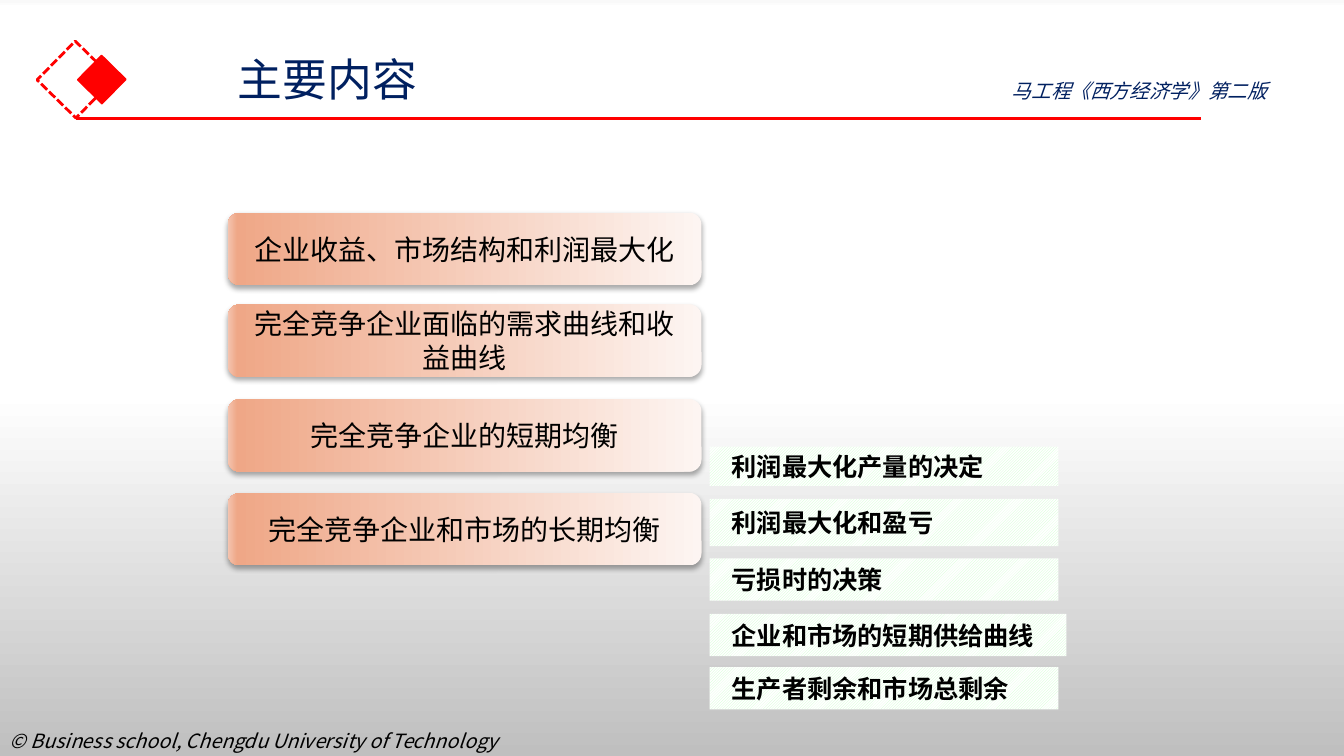
import pptx
import pptx.dml.color
import pptx.enum.dml
import pptx.enum.shapes
import pptx.enum.text
import pptx.oxml
import pptx.oxml.ns
import pptx.util
from pptx.util import Pt

RGBColor = pptx.dml.color.RGBColor
ALIGN = pptx.enum.text.PP_ALIGN
ANCHOR = pptx.enum.text.MSO_ANCHOR
SHAPE = pptx.enum.shapes.MSO_SHAPE
qn = pptx.oxml.ns.qn

RED = RGBColor(0xFF, 0x00, 0x00)
NAVY = RGBColor(0x00, 0x20, 0x60)
BLACK = RGBColor(0x00, 0x00, 0x00)
WHITE = RGBColor(0xFF, 0xFF, 0xFF)
MINT = RGBColor(0xCC, 0xFF, 0xCC)
PAGE_STOPS = [(0, RGBColor(0xF9, 0xF9, 0xF9)), (1, WHITE), (52, WHITE),
              (100, RGBColor(0xBF, 0xBF, 0xBF))]
TOPIC_STOPS = [(0, RGBColor(0xFD, 0xF5, 0xF2)), (98, RGBColor(0xEF, 0xA7, 0x87)),
               (100, RGBColor(0xF4, 0xC4, 0xAF))]
CJK_FONT = "Noto Sans CJK SC"
NAMESPACE = pptx.oxml.ns.nsdecls("a")


def set_gradient(fill, owner, stops, angle):
    """Fill with any number of colour stops; angle runs clockwise in degrees."""
    fill.gradient()
    gradient = next(owner.iter(qn("a:gradFill")))
    stop_list = gradient.find(qn("a:gsLst"))
    for stop in list(stop_list):
        stop_list.remove(stop)
    for position, color in stops:
        stop_list.append(pptx.oxml.parse_xml(
            f'<a:gs {NAMESPACE} pos="{position * 1000}"><a:srgbClr val="{color}"/></a:gs>'))
    gradient.find(qn("a:lin")).set("ang", str(angle * 60000))


def write_text(shape, text, size, color, align=ALIGN.LEFT, anchor=ANCHOR.TOP,
               font_name=CJK_FONT, bold=False, italic=False, wrap=True):
    frame = shape.text_frame
    frame.word_wrap = wrap
    frame.vertical_anchor = anchor
    frame.text = text
    paragraph = frame.paragraphs[0]
    paragraph.alignment = align
    font = paragraph.font
    font.name, font.size, font.bold, font.italic = font_name, Pt(size), bold, italic
    font.color.rgb = color
    defaults = paragraph._p.pPr.find(qn("a:defRPr"))
    defaults.append(pptx.oxml.parse_xml(f'<a:ea {NAMESPACE} typeface="{CJK_FONT}"/>'))


presentation = pptx.Presentation()
presentation.slide_width = Pt(960)
presentation.slide_height = Pt(540)
slide = presentation.slides.add_slide(presentation.slide_layouts[5])
shapes = slide.shapes
set_gradient(slide.background.fill, slide._element, PAGE_STOPS, 90)

# Title
title = shapes.title
title.left, title.top, title.width, title.height = Pt(162.7), Pt(33.1), Pt(357.1), Pt(46.1)
write_text(title, "主要内容", 32, NAVY)

# Book name and copyright line
book = shapes.add_textbox(Pt(715.7), Pt(52.6), Pt(233.3), Pt(24.5))
write_text(book, "马工程《西方经济学》第二版", 14, NAVY, italic=True)
copyright_line = shapes.add_textbox(Pt(0), Pt(517), Pt(382.3), Pt(24.5))
write_text(copyright_line, "© Business school, Chengdu University of Technology", 14, BLACK,
           italic=True, wrap=False)

# Diamonds beside the title
for left, top, side, line_width, solid in [(34.6, 37.4, 38.9, 2, False),
                                           (60.5, 44.6, 24.5, 1, True)]:
    diamond = shapes.add_shape(SHAPE.RECTANGLE, Pt(left), Pt(top), Pt(side), Pt(side))
    diamond.rotation = 314.5
    diamond.shadow.inherit = False
    diamond.line.color.rgb = RED
    diamond.line.width = Pt(line_width)
    if solid:
        diamond.fill.solid()
        diamond.fill.fore_color.rgb = RED
    else:
        diamond.fill.background()
        diamond.line.dash_style = pptx.enum.dml.MSO_LINE.SQUARE_DOT

# Rule under the title
rule = shapes.add_connector(pptx.enum.shapes.MSO_CONNECTOR.STRAIGHT,
                            Pt(54), Pt(84.4), Pt(858.2), Pt(84.4))
rule.line.color.rgb = RED
rule.line.width = Pt(2.25)
rule._element.spPr.append(pptx.oxml.parse_xml(f"<a:effectLst {NAMESPACE}/>"))

# Topics
topics = [
    (151.9, "企业收益、市场结构和利润最大化"),
    (217.4, "完全竞争企业面临的需求曲线和收益曲线"),
    (285.1, "完全竞争企业的短期均衡"),
    (352.1, "完全竞争企业和市场的长期均衡"),
]
for top, text in topics:
    topic = shapes.add_shape(SHAPE.ROUNDED_RECTANGLE, Pt(162.7), Pt(top), Pt(338.4), Pt(51.8))
    set_gradient(topic.fill, topic._element, TOPIC_STOPS, 180)
    topic.line.fill.background()
    topic.shadow.inherit = False
    topic._element.spPr.find(qn("a:effectLst")).append(pptx.oxml.parse_xml(
        f'<a:outerShdw {NAMESPACE} blurRad="{Pt(3.5)}" dist="{Pt(2.2)}" dir="5400000" '
        f'rotWithShape="0"><a:srgbClr val="{BLACK}"><a:alpha val="32000"/></a:srgbClr>'
        '</a:outerShdw>'))
    write_text(topic, text, 20, BLACK, ALIGN.CENTER, ANCHOR.MIDDLE)

# Points under short-run equilibrium
points = [
    (319, 249.1, 28.1, "利润最大化产量的决定"),
    (356.4, 249.1, 33.8, "利润最大化和盈亏"),
    (398.9, 249.1, 30.2, "亏损时的决策"),
    (438.5, 254.9, 30.2, "企业和市场的短期供给曲线"),
    (476.6, 249.1, 30.2, "生产者剩余和市场总剩余"),
]
for top, width, height, text in points:
    point = shapes.add_shape(SHAPE.RECTANGLE, Pt(506.9), Pt(top), Pt(width), Pt(height))
    point.fill.patterned()
    point.fill.pattern = pptx.enum.dml.MSO_PATTERN.LIGHT_UPWARD_DIAGONAL
    point.fill.fore_color.rgb = MINT
    point.fill.back_color.rgb = WHITE
    point.line.fill.background()
    point.shadow.inherit = False
    point.text_frame.margin_left = point.text_frame.margin_right = Pt(15.8)
    write_text(point, text, 18, BLACK, ALIGN.JUSTIFY, ANCHOR.MIDDLE, "Calibri", bold=True)

presentation.save("out.pptx")
